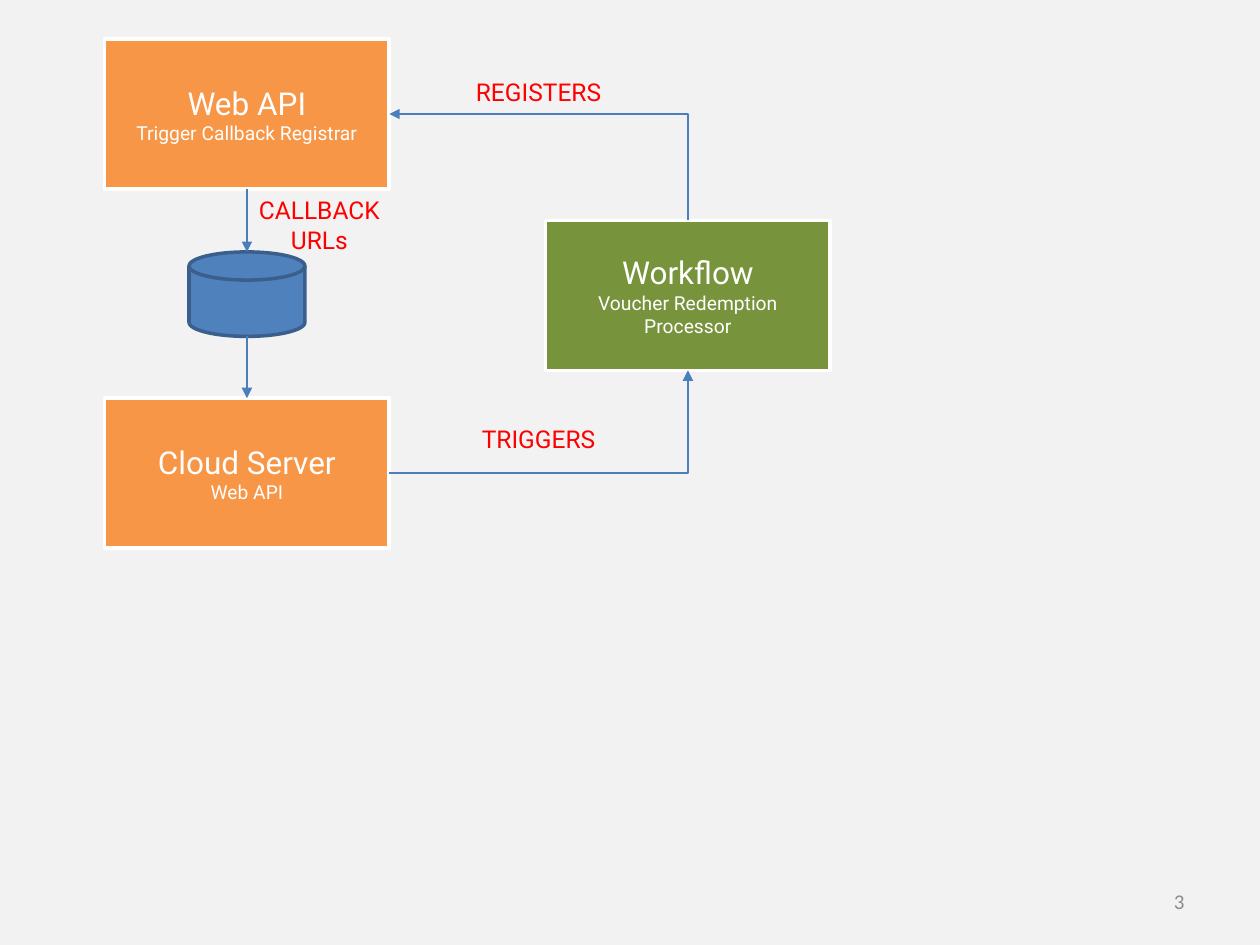
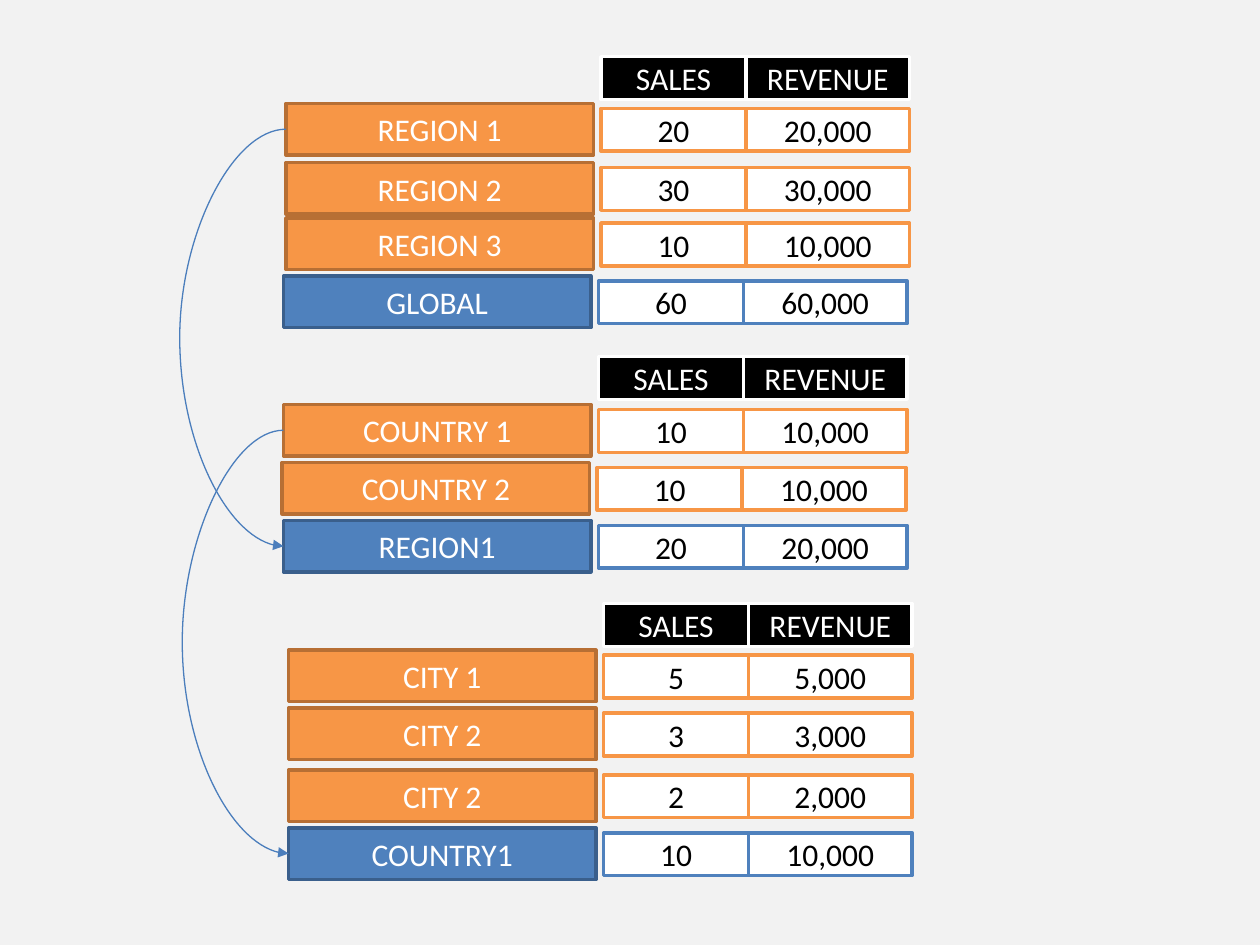
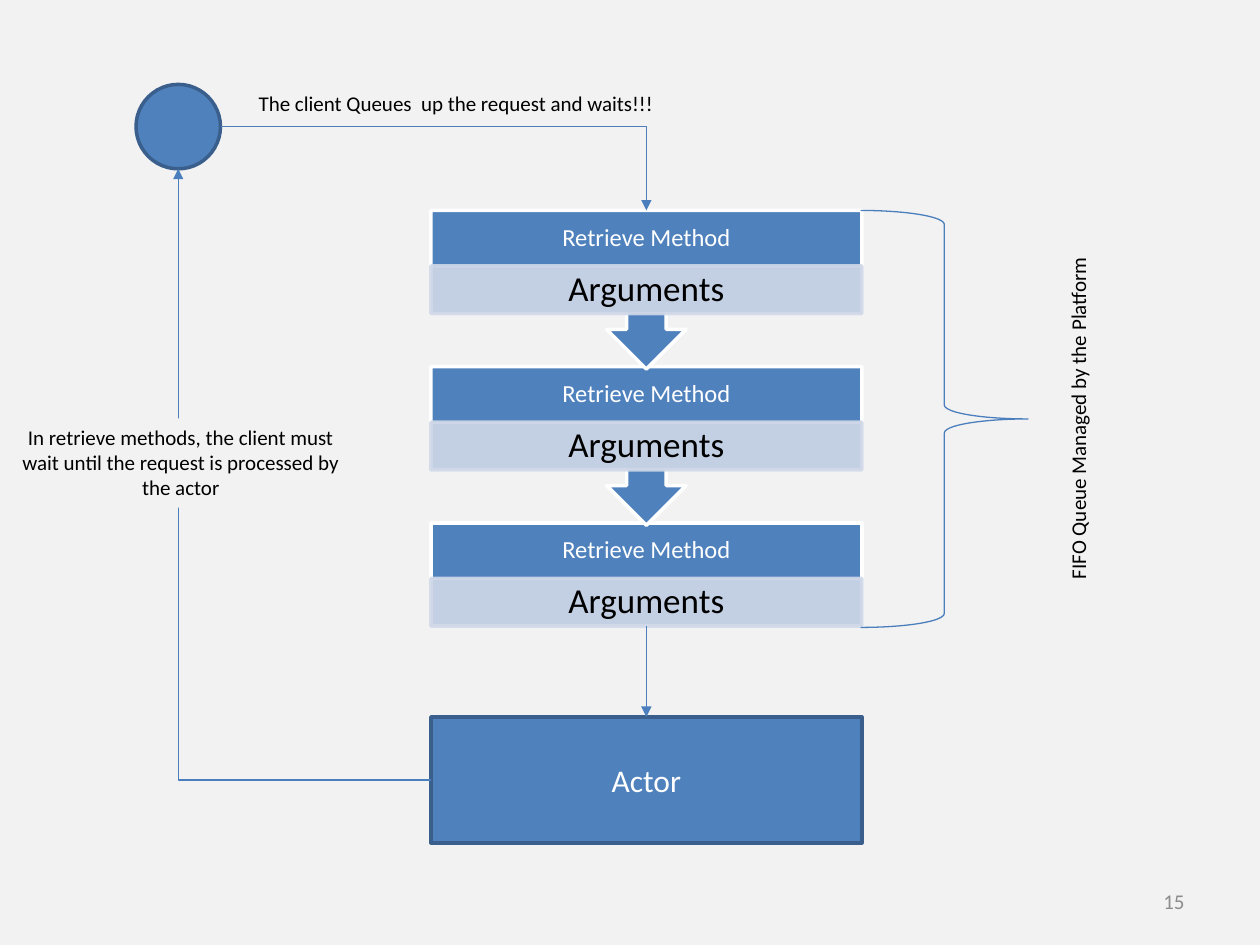
from lxml.etree import SubElement
from pptx import Presentation
from pptx.dml.color import RGBColor
from pptx.enum.shapes import MSO_CONNECTOR, MSO_SHAPE
from pptx.enum.text import MSO_ANCHOR, PP_ALIGN
from pptx.oxml.ns import qn
from pptx.util import Inches, Pt

PAPER = RGBColor(0xF2, 0xF2, 0xF2)
WHITE = RGBColor(0xFF, 0xFF, 0xFF)
BLACK = RGBColor(0x00, 0x00, 0x00)
GREY = RGBColor(0x8C, 0x8C, 0x8C)
RED = RGBColor(0xFF, 0x00, 0x00)
ORANGE = RGBColor(0xF7, 0x96, 0x46)
DARK_ORANGE = RGBColor(0xB7, 0x6F, 0x34)
GREEN = RGBColor(0x77, 0x93, 0x3C)
BLUE = RGBColor(0x4F, 0x81, 0xBD)
DARK_BLUE = RGBColor(0x3A, 0x5F, 0x8C)
LINE_BLUE = RGBColor(0x4B, 0x7E, 0xBC)
PALE_BLUE = RGBColor(0xD0, 0xD8, 0xE8)

# Sides of a shape, numbered as the connection sites of a rectangle
TOP, LEFT, BOTTOM, RIGHT = range(4)


def write(box, *lines, size=18, sizes=None, color=WHITE, font="Calibri",
          align=PP_ALIGN.CENTER, anchor=MSO_ANCHOR.MIDDLE, spacing=None):
    """Fill a box with one paragraph per line; sizes overrides size per line."""
    frame = box.text_frame
    frame.word_wrap = True
    frame.vertical_anchor = anchor
    for index, line in enumerate(lines):
        para = frame.paragraphs[0] if index == 0 else frame.add_paragraph()
        para.alignment = align
        para.line_spacing = spacing
        span = para.add_run()
        span.text = line
        span.font.name = font
        span.font.size = Pt(sizes[index] if sizes else size)
        span.font.color.rgb = color


def side_point(shape, side):
    """Middle of one side of a shape."""
    x = {LEFT: 0, RIGHT: shape.width}.get(side, shape.width // 2)
    y = {TOP: 0, BOTTOM: shape.height}.get(side, shape.height // 2)
    return shape.left + x, shape.top + y


class Drawing:
    def __init__(self):
        self.deck = Presentation()
        self.deck.slide_width = Inches(10)
        self.deck.slide_height = Inches(7.5)
        self.page = None

    def new_page(self, number=None):
        self.page = self.deck.slides.add_slide(self.deck.slide_layouts[6])
        background = self.page.background.fill
        background.solid()
        background.fore_color.rgb = PAPER
        if number:
            self.label(7.17, 6.95, 2.33, 0.4, number, size=12, color=GREY,
                       align=PP_ALIGN.RIGHT, anchor=MSO_ANCHOR.MIDDLE)

    def shape(self, left, top, width, height, *lines, kind=MSO_SHAPE.RECTANGLE,
              fill=BLUE, line=DARK_BLUE, weight=2, opacity=100, **style):
        shape = self.page.shapes.add_shape(
            kind, Inches(left), Inches(top), Inches(width), Inches(height))
        shape.shadow.inherit = False
        for paint, color in ((shape.fill, fill), (shape.line.fill, line)):
            if color is None:
                paint.background()
            else:
                paint.solid()
                paint.fore_color.rgb = color
        if line is not None:
            shape.line.width = Pt(weight)
        if opacity < 100:
            for color in shape._element.spPr.iter(qn("a:srgbClr")):
                SubElement(color, qn("a:alpha"), val=str(opacity * 1000))
        write(shape, *lines, **style)
        return shape

    def label(self, left, top, width, height, text, rotation=0,
              anchor=MSO_ANCHOR.TOP, **style):
        box = self.page.shapes.add_textbox(
            Inches(left), Inches(top), Inches(width), Inches(height))
        box.rotation = rotation
        write(box, text, anchor=anchor, **style)
        return box

    def connector(self, kind, start, end, arrow="tailEnd"):
        line = self.page.shapes.add_connector(kind, *start, *end)
        line.line.color.rgb = LINE_BLUE
        line.line.width = Pt(0.75)
        properties = line._element.spPr
        SubElement(properties.find(qn("a:ln")), qn(f"a:{arrow}"), type="triangle")
        SubElement(properties, qn("a:effectLst"))
        return line

    def straight(self, first, second, join_first=True, join_second=True):
        """Arrow down from one shape to the next."""
        line = self.connector(MSO_CONNECTOR.STRAIGHT, side_point(first, BOTTOM),
                              side_point(second, TOP))
        if join_first:
            line.begin_connect(first, BOTTOM)
        if join_second:
            line.end_connect(second, TOP)

    def routed(self, kind, first, first_side, second, second_side, preset,
               arrow="tailEnd", bulge_at=None):
        """Bent or curved arrow glued to two shapes, leaving the first sideways."""
        start, end = side_point(first, first_side), side_point(second, second_side)
        line = self.connector(kind, start, end, arrow)
        geometry = line._element.spPr.find(qn("a:prstGeom"))
        geometry.set("prst", preset)
        if bulge_at is not None:
            ratio = (Inches(bulge_at) - start[0]) / (end[0] - start[0])
            SubElement(geometry.find(qn("a:avLst")), qn("a:gd"), name="adj1",
                       fmla=f"val {round(ratio * 100000)}")
        glue = line._element.nvCxnSpPr.cNvCxnSpPr
        for tag, shape, side in (("a:stCxn", first, first_side),
                                 ("a:endCxn", second, second_side)):
            # An ellipse has eight sites, so its sides are every second one
            step = 2 if shape.auto_shape_type == MSO_SHAPE.OVAL else 1
            SubElement(glue, qn(tag), id=str(shape.shape_id), idx=str(side * step))

    def bend(self, first, first_side, second, second_side, arrow="tailEnd"):
        self.routed(MSO_CONNECTOR.ELBOW, first, first_side, second, second_side,
                    "bentConnector2", arrow)

    def curve(self, first, second, bulge_at):
        self.routed(MSO_CONNECTOR.CURVE, first, LEFT, second, LEFT,
                    "curvedConnector3", bulge_at=bulge_at)


def callback_page(drawing):
    drawing.new_page("3")

    # Services and the store between them
    def service(left, top, name, role, fill=ORANGE):
        return drawing.shape(left, top, 2.26, 1.19, name, role, sizes=(18, 11),
                             font="Roboto", fill=fill, line=WHITE)

    server = service(0.83, 3.16, "Cloud Server", "Web API")
    workflow = service(4.33, 1.75, "Workflow", "Voucher Redemption Processor", GREEN)
    registrar = service(0.83, 0.31, "Web API", "Trigger Callback Registrar")
    store = drawing.shape(1.5, 2, 0.92, 0.67, kind=MSO_SHAPE.FLOWCHART_MAGNETIC_DISK)

    # Flow
    drawing.bend(registrar, RIGHT, workflow, TOP, arrow="headEnd")
    drawing.straight(registrar, store, join_second=False)
    drawing.straight(store, server, join_first=False)
    drawing.bend(server, RIGHT, workflow, BOTTOM)
    for left, top, height, text in ((3.61, 0.56, 0.34, "REGISTERS"),
                                    (3.61, 3.32, 0.34, "TRIGGERS"),
                                    (1.87, 1.5, 0.57, "CALLBACK URLs")):
        drawing.label(left, top, 1.33, height, text, size=14, font="Roboto", color=RED)


def rollup_page(drawing):
    drawing.new_page()
    # Header top, then rows of left, top, name, sales, revenue; the last is the total
    levels = (
        (0.45, ((2.27, 0.82, "REGION 1", "20", "20,000"),
                (2.27, 1.29, "REGION 2", "30", "30,000"),
                (2.27, 1.73, "REGION 3", "10", "10,000"),
                (2.25, 2.19, "GLOBAL", "60", "60,000"))),
        (2.83, ((2.25, 3.21, "COUNTRY 1", "10", "10,000"),
                (2.24, 3.67, "COUNTRY 2", "10", "10,000"),
                (2.25, 4.13, "REGION1", "20", "20,000"))),
        (4.79, ((2.29, 5.16, "CITY 1", "5", "5,000"),
                (2.29, 5.62, "CITY 2", "3", "3,000"),
                (2.29, 6.11, "CITY 2", "2", "2,000"),
                (2.29, 6.57, "COUNTRY1", "10", "10,000"))),
    )

    def figures(left, top, sales, revenue, **style):
        drawing.shape(left + 2.5, top, 1.15, 0.34, sales, **style)
        drawing.shape(left + 3.65, top, 1.3, 0.34, revenue, **style)

    firsts, totals = [], []
    for header_top, rows in levels:
        figures(rows[0][0], header_top, "SALES", "REVENUE", fill=BLACK, line=WHITE)
        names = []
        for row in rows:
            left, top, name, sales, revenue = row
            fill, edge = (BLUE, DARK_BLUE) if row is rows[-1] else (ORANGE, DARK_ORANGE)
            names.append(drawing.shape(left, top, 2.44, 0.41, name, fill=fill, line=edge))
            figures(left, top + 0.04, sales, revenue, fill=WHITE, line=fill, color=BLACK)
        firsts.append(names[0])
        totals.append(names[-1])

    # Each first row is detailed by the total of the next level
    for first, total, bulge_at in zip(firsts, totals[1:], (1.43, 1.45)):
        drawing.curve(first, total, bulge_at)


def queue_page(drawing):
    drawing.new_page("15")
    left, width, pitch = 3.42, 3.42, 1.24
    actor = drawing.shape(left, 5.69, width, 1, "Actor")

    # Queue, drawn from the last request up so that arrow tips overlap
    requests = []
    for index in reversed(range(3)):
        top = 1.67 + index * pitch
        last = index == 2
        requests.append(drawing.shape(
            left, top, width, 0.82 if last else 1.26, line=WHITE,
            kind=MSO_SHAPE.RECTANGLE if last else MSO_SHAPE.DOWN_ARROW_CALLOUT))
        drawing.label(left, top, width, 0.44, "Retrieve Method", size=14,
                      anchor=MSO_ANCHOR.MIDDLE, spacing=0.9)
        drawing.shape(left, top + 0.44, width, 0.38, "Arguments", size=20, color=BLACK,
                      fill=PALE_BLUE, line=PALE_BLUE, opacity=90, spacing=0.9)
    drawing.shape(6.83, 1.67, 1.33, 3.31, kind=MSO_SHAPE.RIGHT_BRACE,
                  fill=None, line=LINE_BLUE, weight=0.75)
    note = {"size": 12, "color": BLACK}
    drawing.label(6.9, 3.17, 3.31, 0.3, "FIFO Queue Managed by the Platform",
                  rotation=270, **note)

    # Client and the round trip
    client = drawing.shape(1.08, 0.67, 0.67, 0.67, kind=MSO_SHAPE.OVAL)
    drawing.bend(client, RIGHT, requests[-1], TOP)
    drawing.label(1.83, 0.67, 3.58, 0.3,
                  "The client Queues  up the request and waits!!!", **note)
    drawing.straight(requests[0], actor)
    drawing.bend(actor, LEFT, client, BOTTOM)
    drawing.shape(0.02, 3.32, 2.83, 0.71,
                  "In retrieve methods, the client must wait until the request is "
                  "processed by the actor",
                  fill=PAPER, line=None, anchor=MSO_ANCHOR.TOP, **note)


def main():
    drawing = Drawing()
    callback_page(drawing)
    rollup_page(drawing)
    queue_page(drawing)
    drawing.deck.save("out.pptx")


if __name__ == "__main__":
    main()
